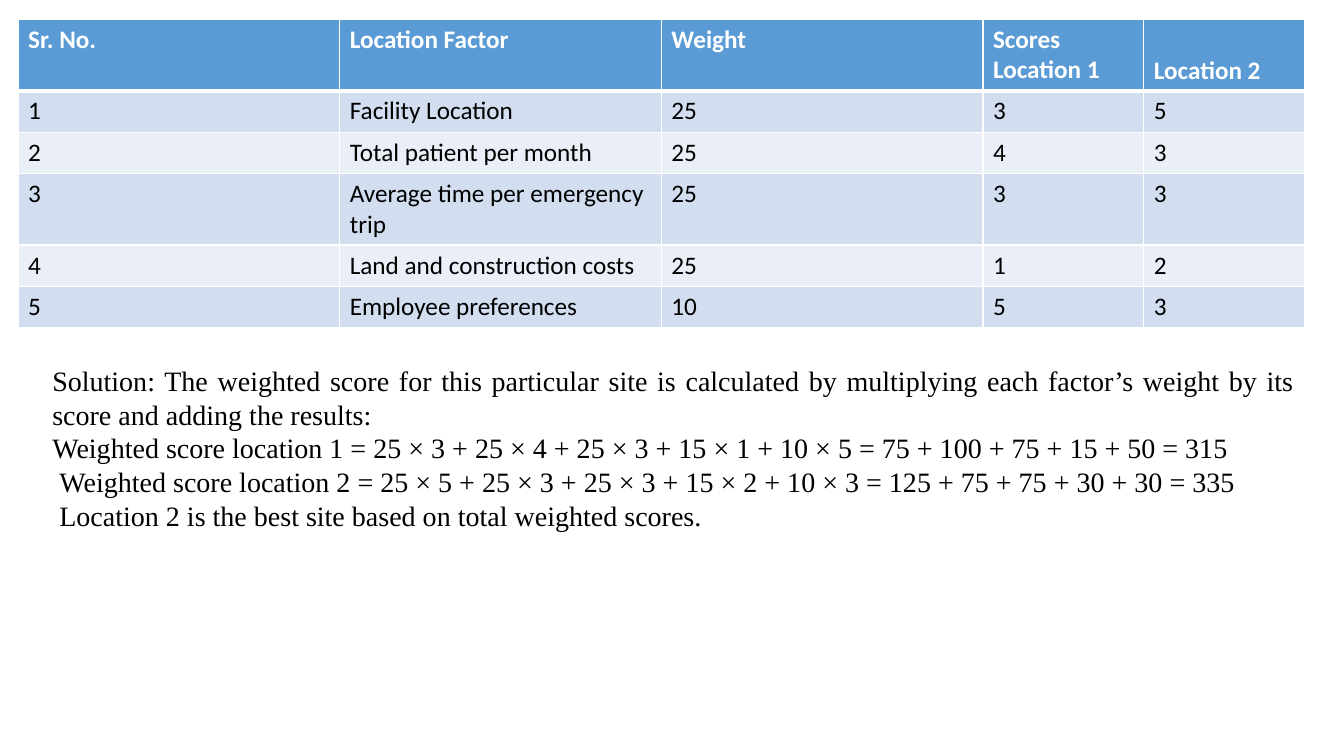
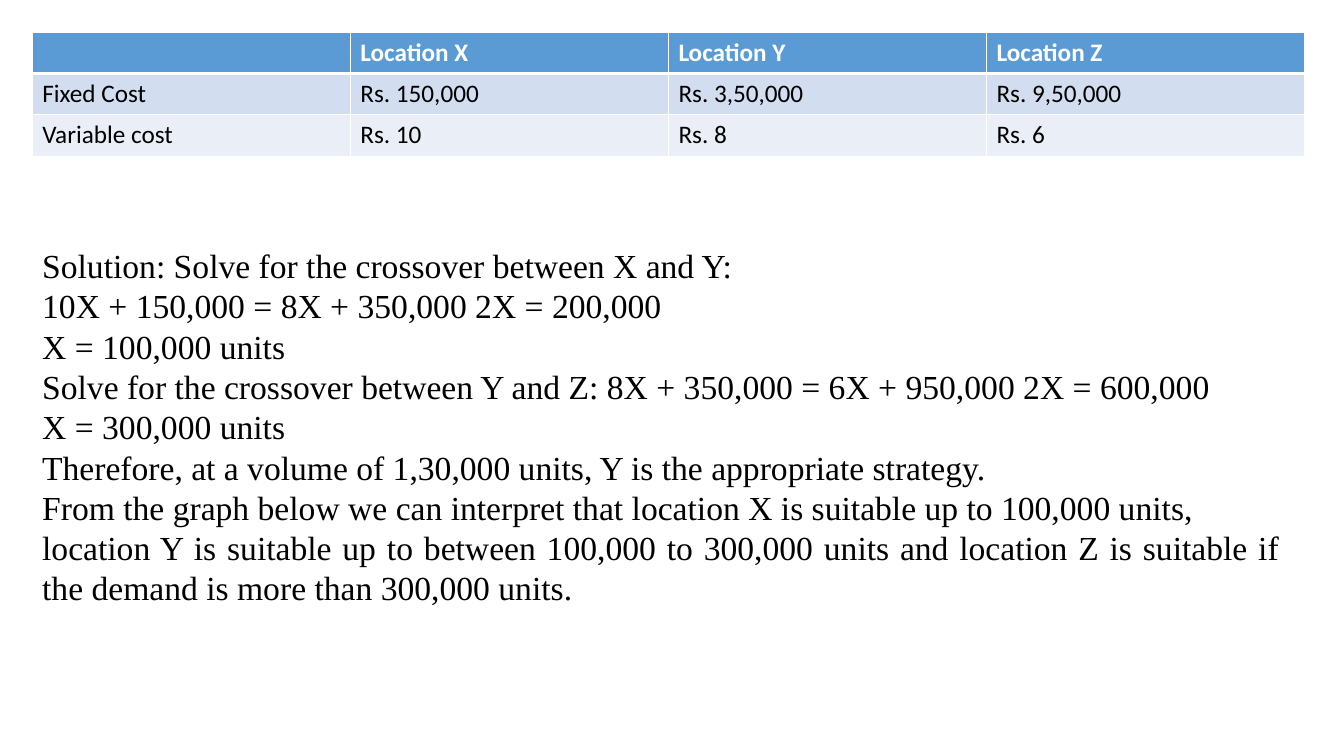
from lxml import etree
from pptx import Presentation
from pptx.dml.color import RGBColor
from pptx.enum import text
from pptx.oxml import ns
from pptx.util import Inches, Pt

COLORS = {
    "head": "5B9BD5",
    "odd": "D2DEEF",
    "even": "EAEFF7",
    "line": "FFFFFF",
    "light": "FFFFFF",
    "dark": "000000",
}
ROW, TALL = 0.41, 0.71  # heights of rows with one and two lines of text


def add_run(para, words, face, size, color, bold=False):
    run = para.add_run()
    run.text = words
    run.font.name = face
    run.font.size = Pt(size)
    run.font.bold = bold
    run.font.color.rgb = RGBColor.from_string(COLORS[color])


def draw_edges(cell, row):
    """Rule the cell in white, thicker between header and body."""
    props = cell._tc.get_or_add_tcPr()
    widths = {"lnL": 1, "lnR": 1, "lnT": 3 if row == 1 else 1, "lnB": 3 if row == 0 else 1}
    for tag, width in widths.items():
        edge = etree.SubElement(props, ns.qn(f"a:{tag}"), w=str(Pt(width)))
        fill = etree.SubElement(edge, ns.qn("a:solidFill"))
        etree.SubElement(fill, ns.qn("a:srgbClr"), val=COLORS["line"])


# Each line of a solution is its text and its left indent.
slides = [
    {
        "at": (0.18, 0.19),
        "cols": [3.19, 3.19, 3.19, 1.595, 1.595],
        "heights": [TALL, ROW, ROW, TALL, ROW, ROW],
        "rows": [
            ["Sr. No.", "Location Factor", "Weight", "Scores\nLocation 1", "Location 2"],
            ["1", "Facility Location", "25", "3", "5"],
            ["2", "Total patient per month", "25", "4", "3"],
            ["3", "Average time per emergency trip", "25", "3", "3"],
            ["4", "Land and construction costs", "25", "1", "2"],
            ["5", "Employee preferences", "10", "5", "3"],
        ],
        "low": ["Location 2"],
        "box": (0.42, 3.56, 12.52, 3.64),
        "size": 20,
        "lines": [
            ("Solution: The weighted score for this particular site is calculated by "
             "multiplying each factor’s weight by its score and adding the results:", 0),
            ("Weighted score location 1 = 25 × 3 + 25 × 4 + 25 × 3 + 15 × 1 + 10 × 5 "
             "= 75 + 100 + 75 + 15 + 50 = 315", 0),
            ("Weighted score location 2 = 25 × 5 + 25 × 3 + 25 × 3 + 15 × 2 + 10 × 3 "
             "= 125 + 75 + 75 + 30 + 30 = 335", 0.07),
            ("Location 2 is the best site based on total weighted scores.", 0.07),
        ],
    },
    {
        "at": (0.32, 0.32),
        "cols": [3.155] * 4,
        "heights": [ROW] * 3,
        "rows": [
            ["", "Location X", "Location Y", "Location Z"],
            ["Fixed Cost", "Rs. 150,000", "Rs. 3,50,000", "Rs. 9,50,000"],
            ["Variable cost", "Rs. 10", "Rs. 8", "Rs. 6"],
        ],
        "low": [],
        "box": (0.32, 2.38, 12.47, 3.74),
        "size": 24,
        "lines": [
            ("Solution: Solve for the crossover between X and Y:", 0),
            ("10X + 150,000 = 8X + 350,000 2X = 200,000", 0),
            ("X = 100,000 units", 0),
            ("Solve for the crossover between Y and Z: "
             "8X + 350,000 = 6X + 950,000 2X = 600,000", 0),
            ("X = 300,000 units", 0),
            ("Therefore, at a volume of 1,30,000 units, Y is the appropriate strategy.", 0),
            ("From the graph below we can interpret that location X is suitable "
             "up to 100,000 units,", 0),
            ("location Y is suitable up to between 100,000 to 300,000 units and location Z "
             "is suitable if the demand is more than 300,000 units.", 0),
        ],
    },
]

deck = Presentation()
deck.slide_width, deck.slide_height = Inches(13.33), Inches(7.5)
blank = deck.slide_layouts[6]

for data in slides:
    slide = deck.slides.add_slide(blank)

    rows, cols, heights = data["rows"], data["cols"], data["heights"]
    left, top = data["at"]
    table = slide.shapes.add_table(
        len(rows), len(cols), Inches(left), Inches(top),
        Inches(sum(cols)), Inches(sum(heights))).table
    for col, width in zip(table.columns, cols):
        col.width = Inches(width)
    for r, (values, height) in enumerate(zip(rows, heights)):
        table.rows[r].height = Inches(height)
        band = "head" if r == 0 else "odd" if r % 2 else "even"
        for c, value in enumerate(values):
            cell = table.cell(r, c)
            draw_edges(cell, r)
            cell.fill.solid()
            cell.fill.fore_color.rgb = RGBColor.from_string(COLORS[band])
            if value in data["low"]:
                cell.vertical_anchor = text.MSO_ANCHOR.BOTTOM
            if not value:
                continue
            for i, words in enumerate(value.split("\n")):
                frame = cell.text_frame
                para = frame.add_paragraph() if i else frame.paragraphs[0]
                add_run(para, words, "Calibri", 18, "dark" if r else "light", r == 0)

    frame = slide.shapes.add_textbox(*map(Inches, data["box"])).text_frame
    frame.word_wrap = True
    for i, (words, indent) in enumerate(data["lines"]):
        para = frame.add_paragraph() if i else frame.paragraphs[0]
        para.alignment = text.PP_ALIGN.JUSTIFY
        if indent:
            para._p.get_or_add_pPr().set("marL", str(Inches(indent)))
        add_run(para, words, "Times New Roman", data["size"], "dark")

deck.save("out.pptx")
